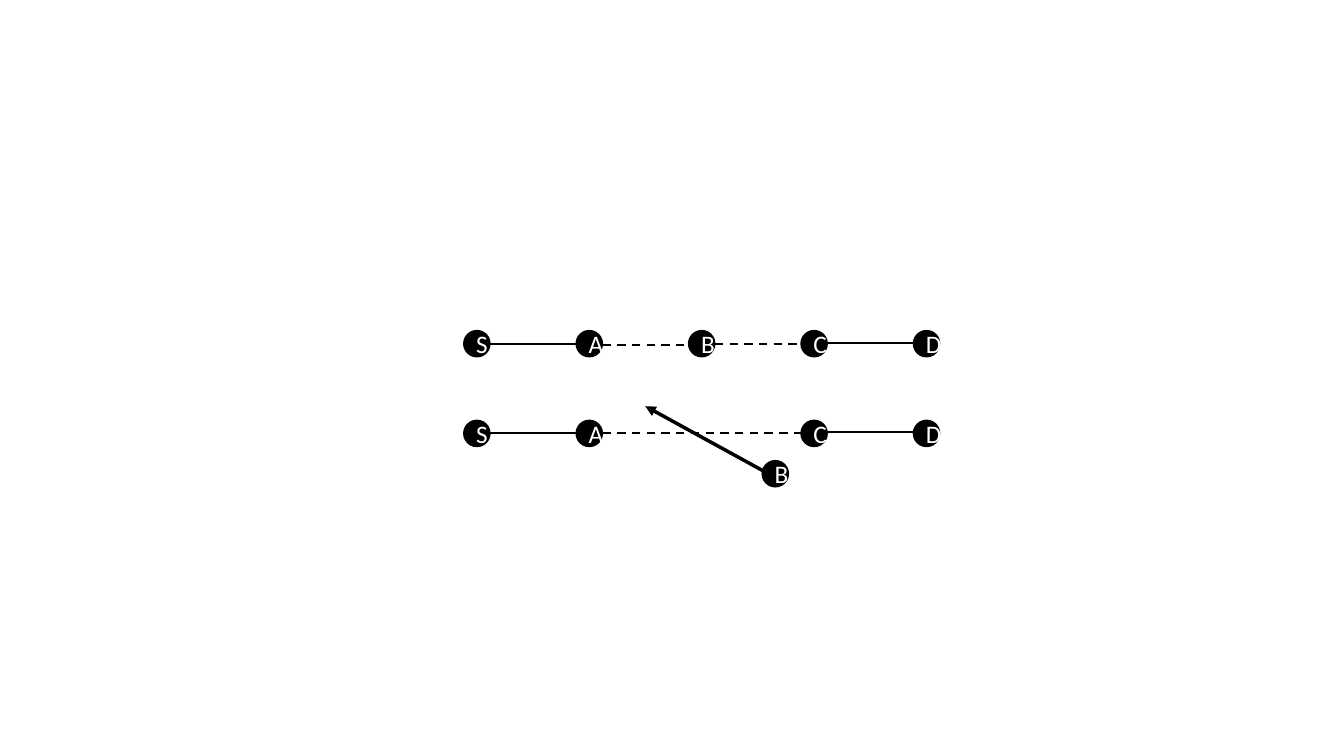
from pptx import Presentation
from pptx.dml.color import RGBColor
from pptx.enum.dml import MSO_LINE
from pptx.enum.shapes import MSO_CONNECTOR, MSO_SHAPE
from pptx.enum.text import MSO_ANCHOR, PP_ALIGN
from pptx.oxml.ns import qn
from pptx.util import Inches, Pt
from lxml.etree import SubElement

BLACK = RGBColor(0x00, 0x00, 0x00)
WHITE = RGBColor(0xFF, 0xFF, 0xFF)

DIAMETER = 0.26
FIRST_LEFT = 4.6
STEP = 1.115
LETTER_FORMAT = {"name": "Calibri", "size": Pt(18)}

deck = Presentation()
deck.slide_width, deck.slide_height = Inches(13.33), Inches(7.5)
slide = deck.slides.add_slide(deck.slide_layouts[6])


def add_node(letter, left, top):
    node = slide.shapes.add_shape(
        MSO_SHAPE.OVAL, Inches(left), Inches(top), Inches(DIAMETER), Inches(DIAMETER))
    node.shadow.inherit = False
    node.fill.solid()
    node.fill.fore_color.rgb = BLACK
    node.line.color.rgb = BLACK
    node.line.width = Pt(1)
    node.text_frame.vertical_anchor = MSO_ANCHOR.MIDDLE
    paragraph = node.text_frame.paragraphs[0]
    paragraph.alignment = PP_ALIGN.CENTER
    run = paragraph.add_run()
    run.text = letter
    for attribute, value in LETTER_FORMAT.items():
        setattr(run.font, attribute, value)
    run.font.color.rgb = WHITE


def add_link(x1, y1, x2, y2, width=1.5, dash=None):
    link = slide.shapes.add_connector(
        MSO_CONNECTOR.STRAIGHT, Inches(x1), Inches(y1), Inches(x2), Inches(y2))
    link.line.color.rgb = BLACK
    link.line.width = Pt(width)
    if dash:
        link.line.dash_style = dash
    SubElement(link._element.spPr, qn("a:effectLst"))
    return link


# Movement of node B back towards the path
movement = add_link(7.64, 4.71, 6.4, 4.03, width=2.5)
SubElement(movement.line._get_or_add_ln(), qn("a:tailEnd"), type="triangle")

# Paths: top, letters by column, links as (from, to, height below top, dash)
paths = [
    (3.28, {0: "S", 1: "A", 2: "B", 3: "C", 4: "D"},
     [(0, 1, 0.13, None), (1, 2, 0.14, MSO_LINE.DASH),
      (2, 3, 0.13, MSO_LINE.DASH), (3, 4, 0.12, None)]),
    (4.17, {0: "S", 1: "A", 3: "C", 4: "D"},
     [(0, 1, 0.13, None), (1, 3, 0.13, MSO_LINE.DASH), (3, 4, 0.12, None)]),
]
for top, letters, links in paths:
    for column, letter in letters.items():
        add_node(letter, FIRST_LEFT + column * STEP, top)
    for start, end, drop, dash in links:
        add_link(FIRST_LEFT + start * STEP + DIAMETER, top + drop,
                 FIRST_LEFT + end * STEP, top + drop, dash=dash)

# Node B away from the lower path
add_node("B", 7.56, 4.57)

deck.save("out.pptx")
